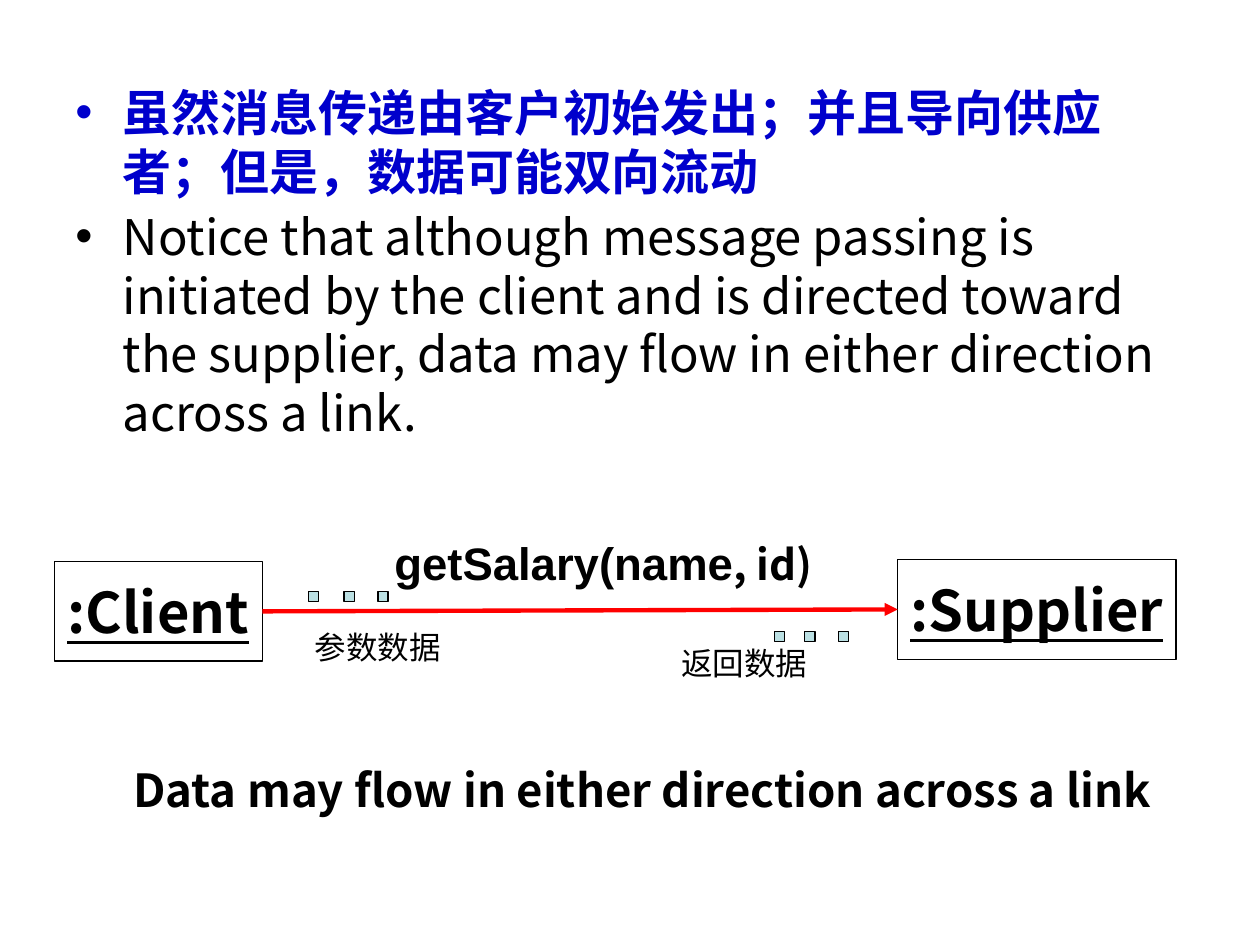
from lxml.etree import SubElement
from pptx import Presentation
from pptx.dml.color import RGBColor
from pptx.enum.shapes import MSO_CONNECTOR as Connector, MSO_SHAPE as Shape
from pptx.enum.text import MSO_ANCHOR as Anchor, MSO_AUTO_SIZE as AutoSize, PP_ALIGN as Align
from pptx.oxml.ns import qn
from pptx.util import Pt

SANS = "Noto Sans CJK SC"
BLACK, BLUE, RED, WHITE, TEAL = "000000", "0000CC", "FF0000", "FFFFFF", "BBE0E3"


def color(value):
    """Turn a hex string into a colour."""
    return RGBColor.from_string(value)


def set_values(target, values):
    """Set each named attribute on the target."""
    for name, value in values.items():
        setattr(target, name, value)


def add_run(paragraph, text, size, hex_color=BLACK, name=SANS, **font_values):
    """Add formatted text to a paragraph."""
    run = paragraph.add_run()
    run.text = text
    run.font.color.rgb = color(hex_color)
    set_values(run.font, {"size": Pt(size), "name": name, **font_values})
    SubElement(run.font._element, qn("a:ea"), typeface=name)


def add_bullet(paragraph, hex_color):
    """Give a paragraph a hanging coloured bullet."""
    properties = paragraph._p.get_or_add_pPr()
    for name, value in {"marL": Pt(27), "indent": Pt(-27), "hangingPunct": 0}.items():
        properties.set(name, str(value))
    bullet_color = SubElement(properties, qn("a:buClr"))
    SubElement(bullet_color, qn("a:srgbClr"), val=hex_color)
    SubElement(properties, qn("a:buFont"), typeface="Arial")
    SubElement(properties, qn("a:buChar"), char="•")


def add_text_box(slide, left, top, width, height, **frame_values):
    """Add a wrapping text box and return its text frame."""
    frame = slide.shapes.add_textbox(Pt(left), Pt(top), Pt(width), Pt(height)).text_frame
    set_values(frame, {"word_wrap": True, **frame_values})
    return frame


def add_bullets(slide, items):
    """Add the bulleted body text."""
    frame = add_text_box(slide, 36, 43.2, 647.3, 232.6, margin_top=Pt(4))
    for index, (text, hex_color, bold) in enumerate(items):
        paragraph = frame.add_paragraph() if index else frame.paragraphs[0]
        add_bullet(paragraph, hex_color)
        paragraph.space_before = Pt(3.5 if index else 0)
        add_run(paragraph, text, 28, hex_color, bold=bold)


def add_label(slide, left, top, width, height, runs):
    """Add a one-line label made of formatted runs."""
    frame = add_text_box(slide, left, top, width, height, vertical_anchor=Anchor.MIDDLE,
                         auto_size=AutoSize.SHAPE_TO_FIT_TEXT)
    for text, size, font_values in runs:
        add_run(frame.paragraphs[0], text, size, **font_values)


def add_rectangle(slide, left, top, width, height, fill):
    """Add a thinly outlined rectangle."""
    shape = slide.shapes.add_shape(Shape.RECTANGLE, Pt(left), Pt(top), Pt(width), Pt(height))
    shape.shadow.inherit = False
    shape.fill.solid()
    shape.fill.fore_color.rgb = color(fill)
    shape.line.color.rgb = color(BLACK)
    shape.line.width = Pt(0.75)
    return shape


def add_object(slide, left, top, width, text):
    """Add an object box with an underlined name."""
    shape = add_rectangle(slide, left, top, width, 56.9, WHITE)
    set_values(shape.text_frame, {"word_wrap": False, "vertical_anchor": Anchor.MIDDLE})
    paragraph = shape.text_frame.paragraphs[0]
    paragraph.alignment = Align.CENTER
    add_run(paragraph, text, 32, bold=True, underline=True)
    return shape


def add_message_arrow(slide, client, supplier):
    """Join the two objects with a red arrow."""
    arrow = slide.shapes.add_connector(Connector.STRAIGHT, 0, 0, 0, 0)
    arrow.begin_connect(client, 3)
    arrow.end_connect(supplier, 1)
    arrow.line.color.rgb = color(RED)
    arrow.line.width = Pt(2.5)
    SubElement(arrow.line._get_or_add_ln(), qn("a:tailEnd"), type="triangle")
    SubElement(arrow._element.spPr, qn("a:effectLst"))


def main():
    """Build the message passing slide."""
    presentation = Presentation()
    set_values(presentation, {"slide_width": Pt(720), "slide_height": Pt(540)})
    slide = presentation.slides.add_slide(presentation.slide_layouts[6])
    add_bullets(slide, [
        ("虽然消息传递由客户初始发出；并且导向供应者；但是，数据可能双向流动", BLUE, True),
        ("Notice that although message passing is initiated by the client and is directed "
         "toward the supplier, data may flow in either direction across a link.", BLACK, False),
    ])
    client = add_object(slide, 31, 320.9, 119, ":Client")
    supplier = add_object(slide, 513, 319.8, 159, ":Supplier")
    bold = {"bold": True}
    add_label(slide, 218.2, 301.7, 260.6, 38.9,
              [("getSalary(name", 26, {"name": "Arial", **bold}), (", id)", 24, bold)])
    add_label(slide, 69.1, 431.6, 619.2, 38.9,
              [("Data may flow in either direction across a link", 26, bold)])
    for top, lefts in ((337.9, (176.4, 196.6, 216)), (360.7, (442.6, 459.9, 479))):
        for left in lefts:
            add_rectangle(slide, left, top, 5.8, 5.8, TEAL)
    add_message_arrow(slide, client, supplier)
    add_label(slide, 172.8, 355, 96.5, 28.8, [("参数数据", 18, {})])
    add_label(slide, 382.3, 364.3, 108, 28.8, [("返回数据", 18, {})])
    presentation.save("out.pptx")


if __name__ == "__main__":
    main()
